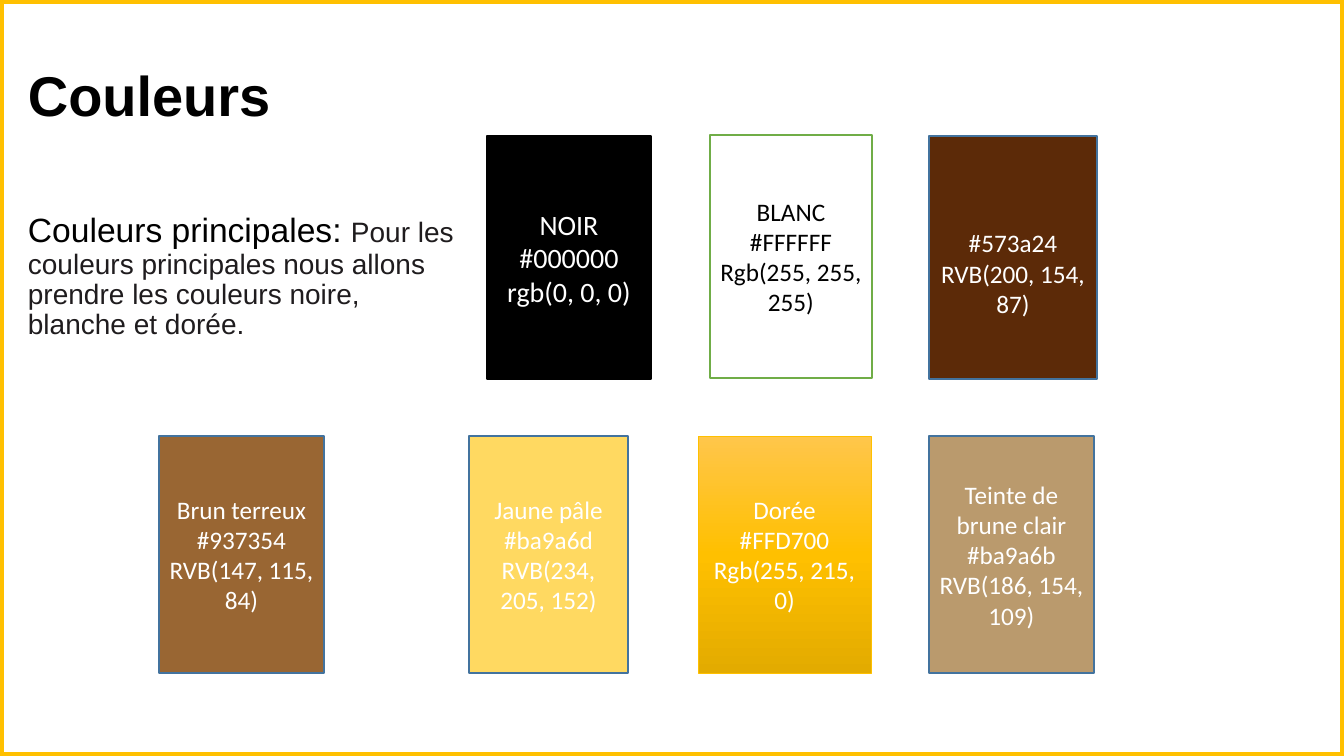
import copy

import pptx
import pptx.dml.color
import pptx.enum.shapes
import pptx.enum.text
import pptx.oxml
import pptx.oxml.ns
import pptx.util

RGBColor = pptx.dml.color.RGBColor
EMU_PER_PIXEL = 914400 / 100.8
SLIDE_WIDTH, SLIDE_HEIGHT = 1344, 756
UPPER_TOP, UPPER_HEIGHT = 136, 243
LOWER_TOP, LOWER_HEIGHT = 436, 237

BLACK = RGBColor(0x00, 0x00, 0x00)
WHITE = RGBColor(0xFF, 0xFF, 0xFF)
INK = RGBColor(0x1F, 0x1C, 0x1E)
GOLD = RGBColor(0xFF, 0xC0, 0x00)
LIGHT_GOLD = RGBColor(0xFF, 0xC6, 0x4B)
DEEP_GOLD = RGBColor(0xE3, 0xAB, 0x00)
GREEN = RGBColor(0x70, 0xAD, 0x47)
BLUE = RGBColor(0x43, 0x73, 0x9E)
DARK_BROWN = RGBColor(0x5C, 0x2A, 0x08)
EARTH_BROWN = RGBColor(0x99, 0x66, 0x33)
PALE_YELLOW = RGBColor(0xFF, 0xD9, 0x61)
LIGHT_BROWN = RGBColor(0xBA, 0x9A, 0x6D)


def px(*pixels):
    return [pptx.util.Emu(round(pixel * EMU_PER_PIXEL)) for pixel in pixels]


def add_text(paragraph, text, *, size, color, font="Calibri", bold=False):
    run = paragraph.add_run()
    run.text = text
    run.font.name = font
    run.font.size = pptx.util.Pt(size)
    run.font.bold = bold
    run.font.color.rgb = color


def add_border_table(slide, color, width):
    frame = slide.shapes.add_table(1, 1, *px(0, 0, SLIDE_WIDTH, SLIDE_HEIGHT))
    cell = frame.table.cell(0, 0)
    properties = cell._tc.get_or_add_tcPr()
    for side in ("lnL", "lnR", "lnT", "lnB"):
        properties.append(pptx.oxml.parse_xml(
            f'<a:{side} {pptx.oxml.ns.nsdecls("a")} w="{pptx.util.Pt(width)}">'
            f'<a:solidFill><a:srgbClr val="{color}"/></a:solidFill></a:{side}>'
        ))
    cell.fill.background()


def add_description(slide):
    box = slide.shapes.add_textbox(*px(18, 63, 451, 631))
    frame = box.text_frame
    frame.word_wrap = True
    title = frame.paragraphs[0]
    body = frame.add_paragraph()
    for paragraph, space in ((title, 10), (body, 61)):
        paragraph.line_spacing = 0.9
        paragraph.space_before = pptx.util.Pt(space)
    add_text(title, "Couleurs", size=40, color=BLACK, font="Arial", bold=True)
    add_text(body, "Couleurs principales: ", size=24, color=BLACK, font="Arial")
    add_text(
        body,
        "Pour les couleurs principales nous allons prendre les couleurs "
        "noire, blanche et dorée.",
        size=20, color=INK, font="Arial",
    )


def fill_gradient(shape, colors):
    shape.fill.gradient()
    shape.fill.gradient_angle = 270
    stops = shape.fill.gradient_stops
    first = shape._element.spPr.find(".//" + pptx.oxml.ns.qn("a:gs"))
    for _ in range(len(colors) - len(stops)):
        first.addnext(copy.deepcopy(first))
    for index, (stop, color) in enumerate(zip(shape.fill.gradient_stops, colors)):
        stop.position = index / (len(colors) - 1)
        stop.color.rgb = color


def add_swatch(slide, bounds, fills, lines, *, border=BLUE, border_width=1,
               size=18, color=WHITE, top_margin=5):
    shape = slide.shapes.add_shape(
        pptx.enum.shapes.MSO_SHAPE.RECTANGLE, *px(*bounds))
    shape.shadow.inherit = False
    if len(fills) > 1:
        fill_gradient(shape, fills)
    else:
        shape.fill.solid()
        shape.fill.fore_color.rgb = fills[0]
    shape.line.color.rgb = border
    shape.line.width = pptx.util.Pt(border_width)
    frame = shape.text_frame
    frame.word_wrap = True
    frame.vertical_anchor = pptx.enum.text.MSO_ANCHOR.MIDDLE
    frame.margin_top = px(top_margin)[0]
    for index, line in enumerate(lines):
        paragraph = frame.add_paragraph() if index else frame.paragraphs[0]
        paragraph.alignment = pptx.enum.text.PP_ALIGN.CENTER
        add_text(paragraph, line, size=size, color=color)


def main():
    presentation = pptx.Presentation()
    presentation.slide_width, presentation.slide_height = px(
        SLIDE_WIDTH, SLIDE_HEIGHT)
    slide = presentation.slides.add_slide(presentation.slide_layouts[6])
    add_border_table(slide, GOLD, 6)
    add_description(slide)

    def upper(left, width, *content, top=UPPER_TOP, **options):
        add_swatch(slide, (left, top, width, UPPER_HEIGHT), *content, **options)

    def lower(left, width, *content, **options):
        add_swatch(slide, (left, LOWER_TOP, width, LOWER_HEIGHT),
                   *content, **options)

    upper(487, 164, [BLACK], ["NOIR", "#000000", "rgb(0, 0, 0)"],
          border=BLACK, size=20)
    upper(710, 162, [WHITE], ["BLANC", "#FFFFFF", "Rgb(255, 255, 255)"],
          top=135, border=GREEN, color=BLACK)
    lower(698, 173, [LIGHT_GOLD, GOLD, DEEP_GOLD],
          ["Dorée", "#FFD700", "Rgb(255, 215, 0)"],
          border=GOLD, border_width=0.5)
    upper(929, 168, [DARK_BROWN], ["#573a24", "RVB(200, 154, 87)"],
          top_margin=36)
    lower(159, 165, [EARTH_BROWN],
          ["Brun terreux", "#937354", "RVB(147, 115, 84)"])
    lower(469, 159, [PALE_YELLOW],
          ["Jaune pâle", "#ba9a6d", "RVB(234, 205, 152)"])
    lower(929, 165, [LIGHT_BROWN],
          ["Teinte de brune clair", "#ba9a6b", "RVB(186, 154, 109)"])

    presentation.save("out.pptx")


main()
